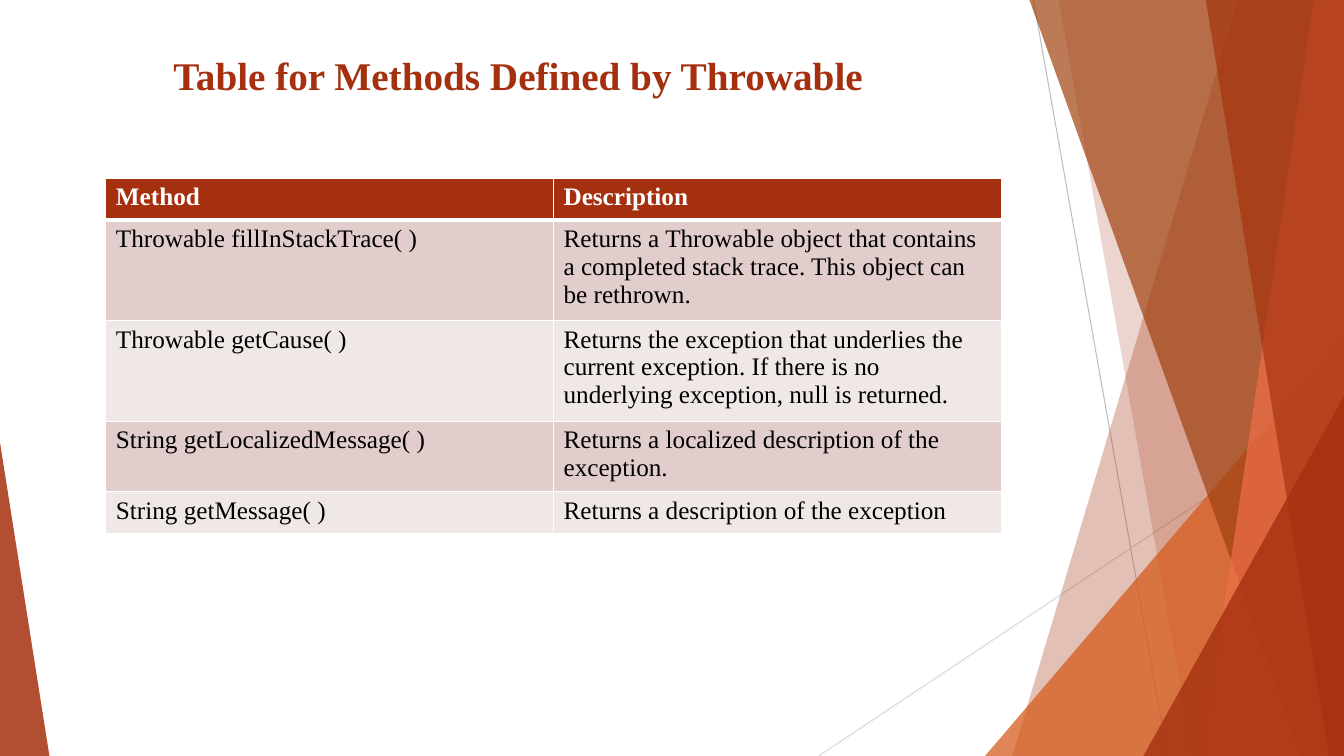
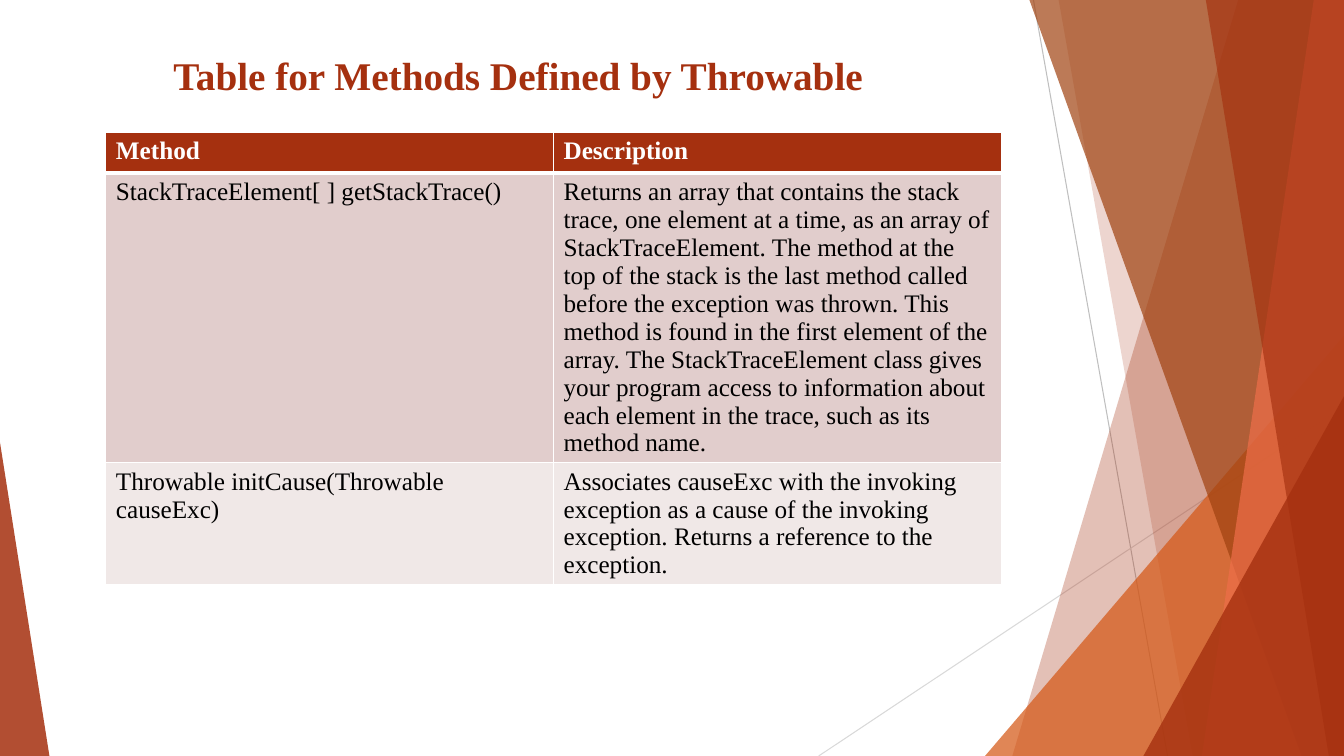
from dataclasses import dataclass

from lxml import etree
from pptx import Presentation
from pptx.dml.color import RGBColor
from pptx.enum.shapes import MSO_CONNECTOR, MSO_SHAPE
from pptx.enum.text import MSO_ANCHOR, PP_ALIGN
from pptx.oxml.ns import qn
from pptx.util import Inches, Pt

LINE = MSO_CONNECTOR.STRAIGHT
TRIANGLE = MSO_SHAPE.ISOSCELES_TRIANGLE
MIDDLE = MSO_ANCHOR.MIDDLE
LEFT = PP_ALIGN.LEFT
TITLE_ONLY = 5
WIDTH, HEIGHT = 13.33, 7.5


@dataclass(frozen=True)
class Theme:
    font: str = "Times New Roman"
    rust: str = "A5300F"
    orange: str = "D55816"
    brown: str = "A04210"
    coral: str = "EE6E4A"
    white: str = "FFFFFF"
    black: str = "000000"
    rows: tuple = ("E1CDCC", "F0E8E7")
    grays: tuple = ("BFBFBF", "D9D9D9")
    title: int = 28
    body: int = 18


class Deck:
    def __init__(self, theme):
        self.theme = theme
        self.file = Presentation()
        self.file.slide_width = Inches(WIDTH)
        self.file.slide_height = Inches(HEIGHT)
        self.layout = self.file.slide_layouts[TITLE_ONLY]
        self.slide = None
        self.group = None

    def add(self, title):
        """Start a slide with its title."""
        self.slide = self.file.slides.add_slide(self.layout)
        if self.group is None:
            self.backdrop()
        box = self.slide.shapes.title
        box.left, box.top = Inches(1.62), Inches(0.43)
        box.width, box.height = Inches(7.75), Inches(0.62)
        box.text_frame.vertical_anchor = MIDDLE
        self.text(box.text_frame, title, self.theme.title, self.theme.rust, True)

    def text(self, frame, words, size, color, bold=False):
        frame.word_wrap = True
        para = frame.paragraphs[0]
        para.alignment = LEFT
        run = para.add_run()
        run.text = words
        font = run.font
        font.name, font.size, font.bold = self.theme.font, Pt(size), bold
        font.color.rgb = RGBColor.from_string(color)

    def line(self, start, end, color):
        line = self.group.shapes.add_connector(
            LINE, *(Inches(n) for n in (*start, *end)))
        line.line.width = Pt(0.75)
        line.line.color.rgb = RGBColor.from_string(color)
        etree.SubElement(line.element.spPr, qn("a:effectLst"))

    def tint(self, shape, color, alpha):
        """Fill a shape with a see-through colour; alpha is in percent."""
        shape.shadow.inherit = False
        shape.line.fill.background()
        shape.fill.solid()
        shape.fill.fore_color.rgb = RGBColor.from_string(color)
        tone = shape.element.spPr.find(".//" + qn("a:srgbClr"))
        etree.SubElement(tone, qn("a:alpha"), val=str(alpha * 1000))

    def band(self, top, foot, color, alpha):
        """Draw a full-height band from its slanted left side to the slide edge."""
        pen = self.group.shapes.build_freeform(Inches(top), 0)
        pen.add_line_segments([(Inches(x), Inches(y)) for x, y in (
            (WIDTH, 0), (WIDTH, HEIGHT), (foot, HEIGHT))])
        self.tint(pen.convert_to_shape(), color, alpha)

    def wedge(self, left, top, width, peak, color, alpha):
        """Draw a triangle on the bottom edge; peak 0 is left, 1 is right."""
        shape = self.group.shapes.add_shape(
            TRIANGLE, Inches(left), Inches(top), Inches(width), Inches(HEIGHT - top))
        shape.adjustments[0] = peak
        self.tint(shape, color, alpha)

    def backdrop(self):
        """Draw the shared artwork and move it to the layout."""
        look = self.theme
        self.group = self.slide.shapes.add_group_shape()
        self.line((10.25, 0), (11.58, HEIGHT), look.grays[0])
        self.line((WIDTH, 4.03), (8.12, HEIGHT), look.grays[1])
        self.band(12.28, 10.04, look.rust, 30)
        self.band(10.5, 11.83, look.rust, 20)
        self.wedge(9.77, 3.33, 3.56, 1, look.orange, 72)
        self.band(10.21, 12.91, look.brown, 70)
        self.band(13.03, 11.92, look.coral, 70)
        self.band(11.96, 13.18, look.rust, 65)
        self.wedge(11.34, 3.93, 1.99, 1, look.rust, 80)
        self.wedge(0, 4.39, 0.49, 0, look.rust, 85)
        art = self.group.element
        for number, node in enumerate(art.iter(qn("p:cNvPr")), 100):
            node.set("id", str(number))
        self.layout.shapes.element.insert(2, art)

    def border(self, cell, row):
        props = cell._tc.get_or_add_tcPr()
        thick = {"T": 3 if row == 1 else 1, "B": 3 if row == 0 else 1}
        for spot, side in enumerate("LRTB"):
            edge = etree.Element(qn("a:ln" + side), w=str(Pt(thick.get(side, 1))))
            fill = etree.SubElement(edge, qn("a:solidFill"))
            etree.SubElement(fill, qn("a:srgbClr"), val=self.theme.white)
            props.insert(spot, edge)

    def table(self, top, heights, rows):
        look = self.theme
        rows = [("Method", "Description"), *rows]
        wide = 4.44
        grid = self.slide.shapes.add_table(
            len(rows), 2, Inches(1.05), Inches(top),
            Inches(2 * wide), Inches(sum(heights))).table
        for col in grid.columns:
            col.width = Inches(wide)
        for r, (high, words) in enumerate(zip(heights, rows)):
            grid.rows[r].height = Inches(high)
            head = r == 0
            fill = look.rust if head else look.rows[(r - 1) % 2]
            ink = look.white if head else look.black
            for cell, word in zip(grid.rows[r].cells, words):
                cell.fill.solid()
                cell.fill.fore_color.rgb = RGBColor.from_string(fill)
                self.text(cell.text_frame, word, look.body, ink, head)
                self.border(cell, r)


def main():
    deck = Deck(Theme())
    title = "Table for Methods Defined by Throwable"

    deck.add(title)
    deck.table(1.77, (0.41, 1, 1, 0.7, 0.41), [
        ("Throwable fillInStackTrace( )",
         "Returns a Throwable object that contains a completed stack trace. "
         "This object can be rethrown."),
        ("Throwable getCause( )",
         "Returns the exception that underlies the current exception. "
         "If there is no underlying exception, null is returned."),
        ("String getLocalizedMessage( )",
         "Returns a localized description of the exception."),
        ("String getMessage( )", "Returns a description of the exception"),
    ])

    deck.add(title)
    deck.table(1.31, (0.41, 2.87, 1.21), [
        ("StackTraceElement[ ] getStackTrace()",
         "Returns an array that contains the stack trace, one element at a time, "
         "as an array of StackTraceElement. The method at the top of the stack is "
         "the last method called before the exception was thrown. This method is "
         "found in the first element of the array. The StackTraceElement class "
         "gives your program access to information about each element in the "
         "trace, such as its method name."),
        ("Throwable initCause(Throwable causeExc)",
         "Associates causeExc with the invoking exception as a cause of the "
         "invoking exception. Returns a reference to the exception."),
    ])

    deck.file.save("out.pptx")


if __name__ == "__main__":
    main()
